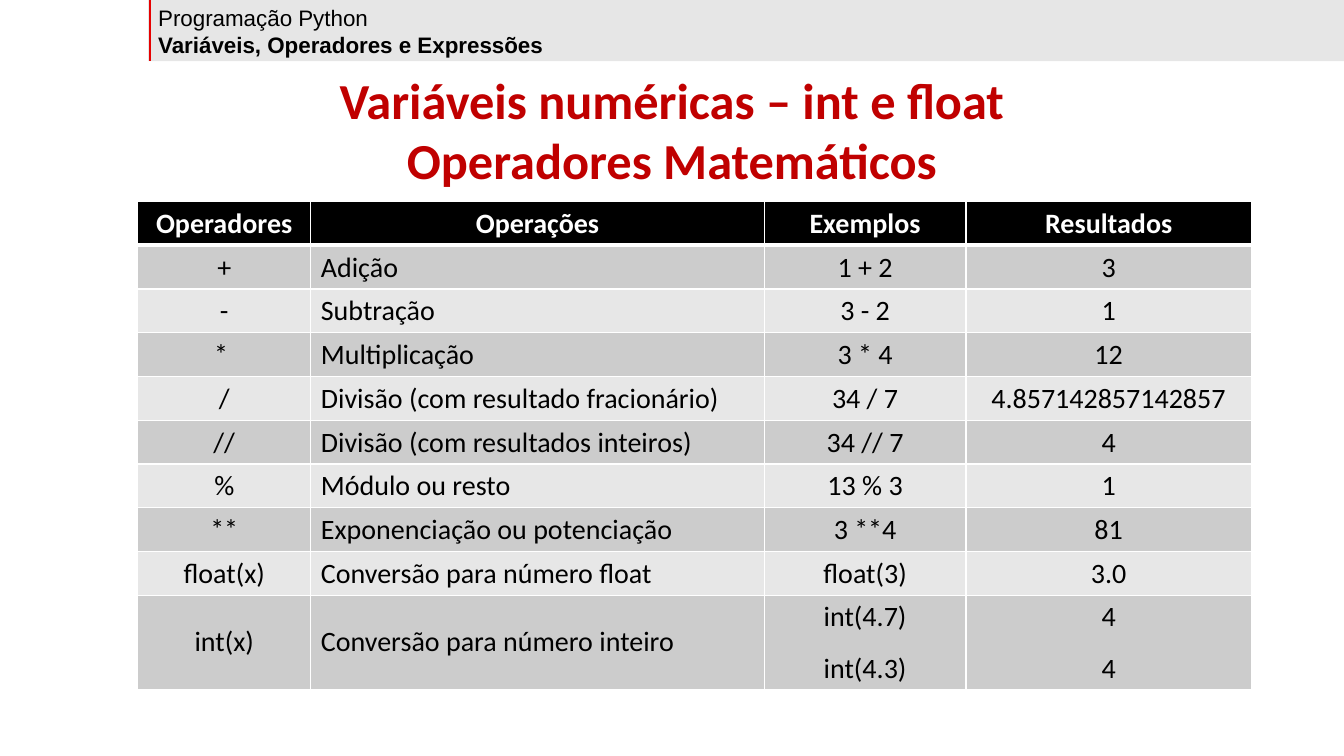
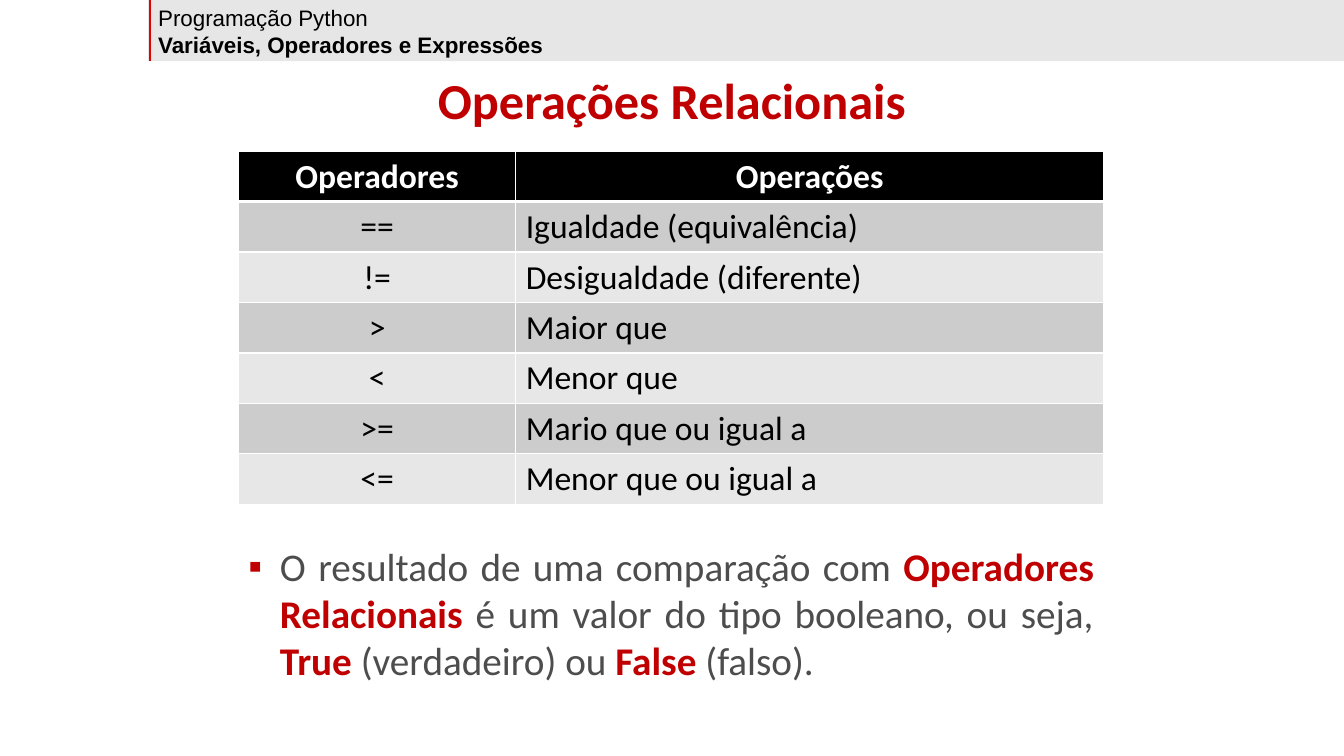
from lxml import etree
from pptx import Presentation, util as u
from pptx.dml import color
from pptx.enum import shapes, text
from pptx.oxml import ns

COLUMNS, ROWS = 160, 90
SLIDE_WIDTH, SLIDE_HEIGHT = u.Inches(13.333), u.Inches(7.5)
RED, BLACK, WHITE, GREY = "C00000", "000000", "FFFFFF", "4D4D4D"
BODY_FILLS = ("CCCCCC", "E7E7E7")
BAND_LEFT, BAND_TOP, BAND_HEIGHT = 17.65, -0.1, 7.4
TABLE_ROW = 4.92
CENTER, LEFT, JUSTIFY = text.PP_ALIGN.CENTER, text.PP_ALIGN.LEFT, text.PP_ALIGN.JUSTIFY

MATH_ROWS = [
    ("Operadores", "Operações", "Exemplos", "Resultados"),
    ("+", "Adição", "1 + 2", "3"),
    ("-", "Subtração", "3 - 2", "1"),
    ("* ", "Multiplicação", "3 * 4", "12"),
    ("/", "Divisão (com resultado fracionário)", "34 / 7", "4.857142857142857"),
    ("//", "Divisão (com resultados inteiros)", "34 // 7", "4"),
    ("%", "Módulo ou resto", "13 % 3", "1"),
    ("**", "Exponenciação ou potenciação", "3 **4", "81"),
    ("float(x)", "Conversão para número float", "float(3)", "3.0"),
    ("int(x)", "Conversão para número inteiro", "int(4.7)\nint(4.3)", "4\n4"),
]
RELATIONAL_ROWS = [
    ("Operadores", "Operações"),
    ("==", "Igualdade (equivalência)"),
    ("!=", "Desigualdade (diferente)"),
    (">", "Maior que"),
    ("<", "Menor que"),
    (">=", "Mario que ou igual a"),
    ("<=", "Menor que ou igual a"),
]
RESULT_RUNS = [
    ("O resultado de uma comparação com ", False),
    ("Operadores Relacionais ", True),
    ("é um valor do tipo booleano, ou seja, ", False),
    ("True ", True),
    ("(verdadeiro) ou ", False),
    ("False ", True),
    ("(falso). ", False),
]


def rgb(value):
    return color.RGBColor.from_string(value)


def across(columns):
    return u.Emu(round(SLIDE_WIDTH * columns / COLUMNS))


def down(rows):
    return u.Emu(round(SLIDE_HEIGHT * rows / ROWS))


def place(left, top, width, height):
    return across(left), down(top), across(width), down(height)


def add_child(parent, tag, **attributes):
    child = etree.SubElement(parent, ns.qn(tag))
    for name, value in attributes.items():
        child.set(name, str(value))
    return child


def add_run(paragraph, words, size, hue, bold=False, font="Calibri"):
    run = paragraph.add_run()
    run.text = words
    run.font.name = font
    run.font.size = u.Pt(size)
    run.font.bold = bold
    run.font.color.rgb = rgb(hue)


def add_paragraphs(frame, count):
    while len(frame.paragraphs) < count:
        frame.add_paragraph()
    return frame.paragraphs


def add_band(slide):
    left, top, width, height = place(BAND_LEFT, BAND_TOP, COLUMNS - BAND_LEFT, BAND_HEIGHT)
    edge = left + u.Pt(1)
    rule = slide.shapes.add_connector(shapes.MSO_CONNECTOR.STRAIGHT, edge, top, edge, top + height)
    rule.line.color.rgb = rgb("FF0000")
    rule.line.width = u.Pt(1.5)
    add_child(rule._element.spPr, "a:effectLst")

    band = slide.shapes.add_shape(shapes.MSO_SHAPE.RECTANGLE, left, top, width, height)
    band.shadow.inherit = False
    band.line.fill.background()
    band.fill.solid()
    band.fill.fore_color.rgb = rgb("0D0D0D")
    tint = band._element.spPr.find(ns.qn("a:solidFill")).find(ns.qn("a:srgbClr"))
    add_child(tint, "a:alpha", val=10000)

    heading = slide.shapes.add_textbox(*place(BAND_LEFT, BAND_TOP, 49.6, 7.7)).text_frame
    first, second = add_paragraphs(heading, 2)
    add_run(first, "Programação Python", 16, BLACK, font="Arial")
    add_run(second, "Variáveis, Operadores e Expressões", 16, BLACK, True, "Arial")


def set_title(slide, lines):
    title = slide.shapes.title
    title.left, title.top, title.width, title.height = place(0, 7.6, COLUMNS, 1.3 + 7.2 * len(lines))
    frame = title.text_frame
    frame.auto_size = text.MSO_AUTO_SIZE.NONE
    frame.vertical_anchor = text.MSO_ANCHOR.TOP
    for paragraph, line in zip(add_paragraphs(frame, len(lines)), lines):
        paragraph.alignment = CENTER
        add_run(paragraph, line, 36, RED, True)


def add_titled_slide(presentation, lines):
    slide = presentation.slides.add_slide(presentation.slide_layouts.get_by_name("Title Only"))
    add_band(slide)
    set_title(slide, lines)
    return slide


def set_borders(cell, top, bottom):
    properties = cell._tc.get_or_add_tcPr()
    for side, points in (("L", 1), ("R", 1), ("T", top), ("B", bottom)):
        border = add_child(properties, f"a:ln{side}", w=u.Pt(points))
        add_child(add_child(border, "a:solidFill"), "a:srgbClr", val=WHITE)


def fill_cell(cell, words, row, column, size):
    header = row == 0
    set_borders(cell, 3 if row == 1 else 1, 3 if header else 1)
    cell.fill.solid()
    cell.fill.fore_color.rgb = rgb(BLACK if header else BODY_FILLS[(row - 1) % 2])
    cell.vertical_anchor = text.MSO_ANCHOR.TOP if header else text.MSO_ANCHOR.MIDDLE
    lines = words.split("\n")
    for paragraph, line in zip(add_paragraphs(cell.text_frame, len(lines)), lines):
        paragraph.alignment = LEFT if column == 1 and not header else CENTER
        if not header:
            paragraph.space_before = paragraph.space_after = u.Pt(6)
        add_run(paragraph, line, size, WHITE if header else BLACK, header)


def add_operator_table(slide, rows, left, top, widths, size):
    frame = slide.shapes.add_table(
        len(rows), len(widths), *place(left, top, sum(widths), TABLE_ROW * len(rows)))
    table = frame.table
    for column, width in zip(table.columns, widths):
        column.width = across(width)
    for row, entries in enumerate(rows):
        for column, words in enumerate(entries):
            fill_cell(table.cell(row, column), words, row, column, size)


def add_bullet(slide, runs, left, top, width, height):
    frame = slide.shapes.add_textbox(*place(left, top, width, height)).text_frame
    frame.word_wrap = True
    paragraph = frame.paragraphs[0]
    paragraph.alignment = JUSTIFY
    properties = paragraph._p.get_or_add_pPr()
    indent = across(3.75)
    properties.set("marL", str(indent))
    properties.set("indent", str(-indent))
    add_child(add_child(properties, "a:buClr"), "a:srgbClr", val=RED)
    add_child(properties, "a:buFont", typeface="Arial")
    add_child(properties, "a:buChar", char="▪")
    for words, strong in runs:
        add_run(paragraph, words, 28, RED if strong else GREY, strong)


def main():
    presentation = Presentation()
    presentation.slide_width, presentation.slide_height = SLIDE_WIDTH, SLIDE_HEIGHT

    slide = add_titled_slide(
        presentation, ["Variáveis numéricas – int e float", "Operadores Matemáticos"])
    add_operator_table(slide, MATH_ROWS, 16.4, 24, (20.6, 54, 24, 34), 20)

    slide = add_titled_slide(presentation, ["Operações Relacionais"])
    add_operator_table(slide, RELATIONAL_ROWS, 28.4, 18, (33, 70), 24)
    add_bullet(slide, RESULT_RUNS, 28.4, 64, 103, 18.1)

    presentation.save("out.pptx")


if __name__ == "__main__":
    main()
